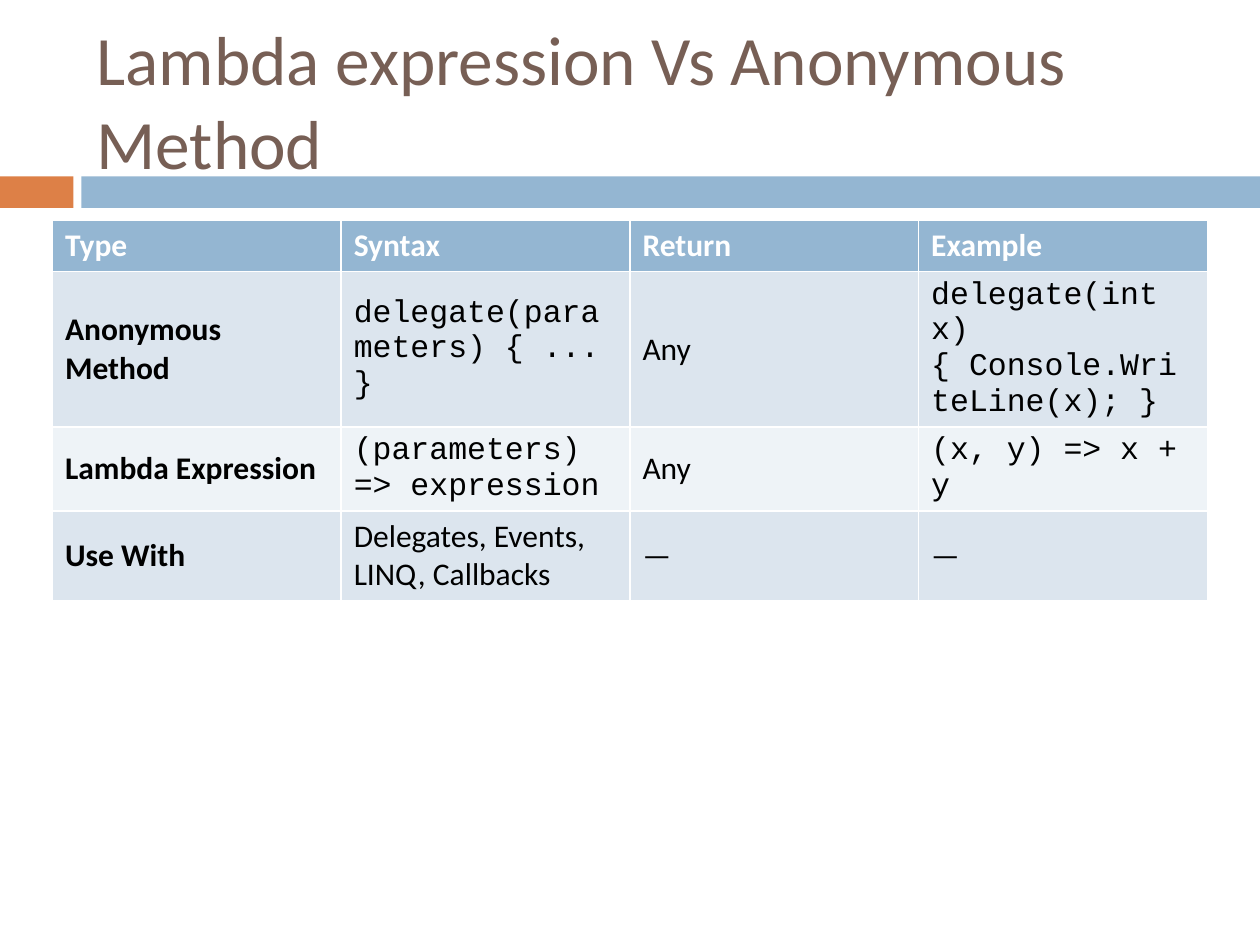
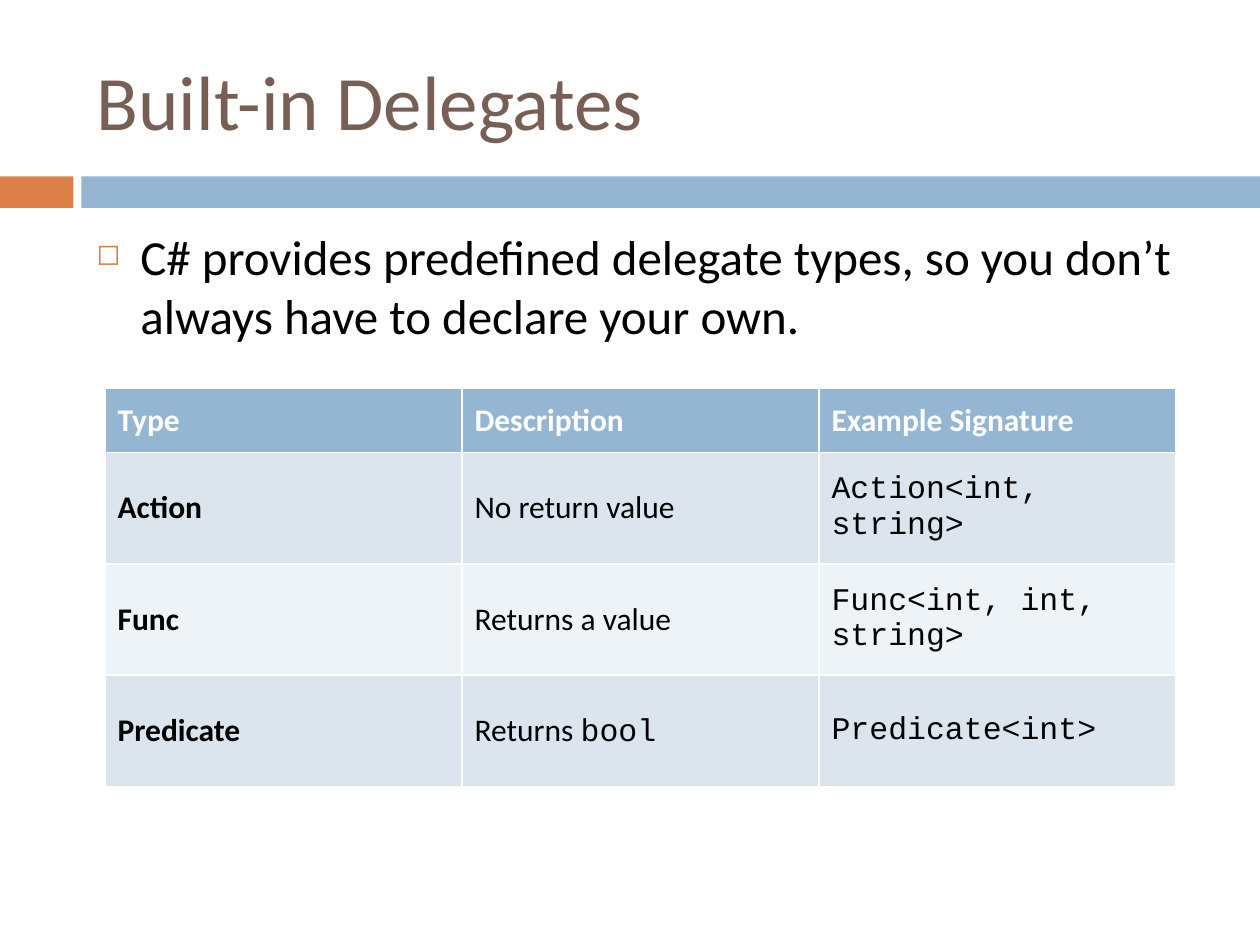
"""Two slides on C# lambdas and delegates, each with a table."""
from lxml import etree
from pptx import Presentation
from pptx.dml.color import RGBColor
from pptx.enum import shapes, text
from pptx.oxml import ns
from pptx.util import Pt

BODY_FONT, CODE_FONT = "Calibri", "Courier New"
BROWN, ORANGE, BLUE = "775F55", "DD8047", "94B6D2"
BLACK, WHITE = "000000", "FFFFFF"
ROW_FILLS = ("DCE5EE", "EEF3F7")
PAGE_WIDTH, PAGE_HEIGHT = 720, 540
TEXT_LEFT, TEXT_WIDTH = 48, 642
BAND_TOP, BAND_HEIGHT = 100.8, 18
TITLE_ONLY = 5

# Text between backticks is code; a no-break space holds the brace to its call.
COMPARISON = [
    ("Type", "Syntax", "Return", "Example"),
    ("Anonymous Method", "`delegate(parameters) { ... }`", "Any",
     "`delegate(int x) {\u00a0Console.WriteLine(x); }`"),
    ("Lambda Expression", "`(parameters) => expression`", "Any",
     "`(x, y) => x + y`"),
    ("Use With", "Delegates, Events, LINQ, Callbacks", "—", "—"),
]
DELEGATES = [
    ("Type", "Description", "Example Signature"),
    ("Action", "No return value", "`Action<int, string>`"),
    ("Func", "Returns a value", "`Func<int, int, string>`"),
    ("Predicate", "Returns `bool`", "`Predicate<int>`"),
]


def rgb(value):
    """Return the colour for a hex string."""
    return RGBColor.from_string(value)


def style_font(font, size, color, bold=False, name=BODY_FONT):
    """Set face, size, colour and weight of a font."""
    font.name, font.size, font.bold = name, Pt(size), bold
    font.color.rgb = rgb(color)


def add_band(page, left, width, color):
    """Draw one block of the band under the title."""
    band = page.shapes.add_shape(shapes.MSO_SHAPE.RECTANGLE, Pt(left),
                                 Pt(BAND_TOP), Pt(width), Pt(BAND_HEIGHT))
    band.shadow.inherit = False
    band.fill.solid()
    band.fill.fore_color.rgb = rgb(color)
    band.line.fill.background()


def add_page(deck, heading, size):
    """Add a slide with the shared bands and a title in front of them."""
    page = deck.slides.add_slide(deck.slide_layouts[TITLE_ONLY])
    add_band(page, 0, 42, ORANGE)
    add_band(page, 46.5, PAGE_WIDTH - 46.5, BLUE)
    title = page.shapes.title
    title.left, title.top = Pt(TEXT_LEFT), Pt(18)
    title.width, title.height = Pt(TEXT_WIDTH), Pt(78)
    frame = title.text_frame
    frame.text = heading
    frame.auto_size = text.MSO_AUTO_SIZE.NONE
    frame.vertical_anchor = text.MSO_ANCHOR.MIDDLE
    para = frame.paragraphs[0]
    para.alignment = text.PP_ALIGN.LEFT
    style_font(para.font, size, BROWN)
    title.element.getparent().append(title.element)
    return page


def add_bullet(para, mark, color, percent, indent):
    """Give a paragraph a coloured bullet with a hanging indent."""
    props = para._p.get_or_add_pPr()
    props.set("marL", str(Pt(indent)))
    props.set("indent", str(-Pt(indent)))
    bullet_color = etree.Element(ns.qn("a:buClr"))
    etree.SubElement(bullet_color, ns.qn("a:srgbClr"), val=color)
    bullet_size = etree.Element(ns.qn("a:buSzPct"), val=str(percent * 1000))
    bullet = etree.Element(ns.qn("a:buChar"), char=mark)
    default_font = props.find(ns.qn("a:defRPr"))
    for part in (bullet_color, bullet_size, bullet):
        default_font.addprevious(part)


def add_body(page, words):
    """Add the bulleted body text below the bands."""
    box = page.shapes.add_textbox(Pt(TEXT_LEFT), Pt(126), Pt(TEXT_WIDTH), Pt(354))
    frame = box.text_frame
    frame.word_wrap = True
    frame.text = words
    para = frame.paragraphs[0]
    para.space_before = Pt(7)
    style_font(para.font, 28, BLACK)
    add_bullet(para, "◻", ORANGE, 60, 25.2)


def fill_cell(cell, words, fill, color, bold):
    """Write one cell, setting the backticked parts as code."""
    cell.fill.solid()
    cell.fill.fore_color.rgb = rgb(fill)
    cell.vertical_anchor = text.MSO_ANCHOR.MIDDLE
    para = cell.text_frame.paragraphs[0]
    style_font(para.font, 18, color, bold)
    for index, part in enumerate(words.split("`")):
        if part:
            span = para.add_run()
            span.text = part
            span.font.name = CODE_FONT if index % 2 else BODY_FONT


def add_grid(page, rows, left, top, width, heights):
    """Add a table with equal columns, a header row and banded rows."""
    count = len(rows[0])
    table = page.shapes.add_table(len(rows), count, Pt(left), Pt(top),
                                  Pt(width), Pt(sum(heights))).table
    for column in table.columns:
        column.width = Pt(width / count)
    for r, (row, height) in enumerate(zip(rows, heights)):
        table.rows[r].height = Pt(height)
        header = r == 0
        fill = BLUE if header else ROW_FILLS[(r - 1) % 2]
        color = WHITE if header else BLACK
        for c, words in enumerate(row):
            fill_cell(table.cell(r, c), words, fill, color, header or c == 0)


def main():
    """Build and save the deck."""
    deck = Presentation()
    deck.slide_width, deck.slide_height = Pt(PAGE_WIDTH), Pt(PAGE_HEIGHT)

    page = add_page(deck, "Lambda expression Vs Anonymous Method", 39.6)
    add_grid(page, COMPARISON, 30, 126, 660, [29.2, 88.8, 48, 51])

    page = add_page(deck, "Built-in Delegates", 44)
    add_body(page, "C# provides predefined delegate types, so you don’t "
                   "always have to declare your own.")
    add_grid(page, DELEGATES, 60, 222, 612, [36.6, 63.6, 63.6, 63.6])

    deck.save("out.pptx")


main()
